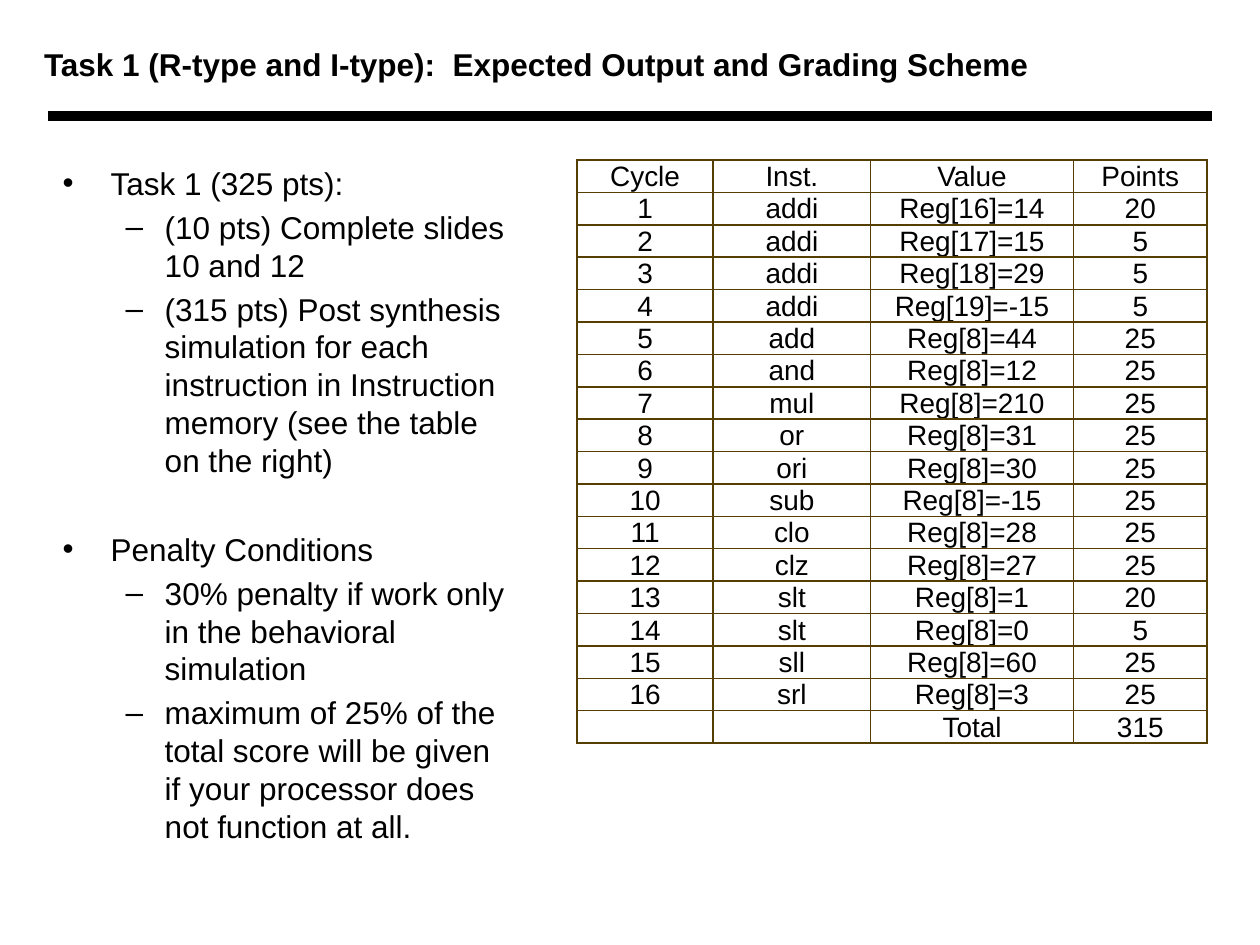
from dataclasses import dataclass

from lxml import etree
from pptx import Presentation
from pptx.dml.color import RGBColor
from pptx.enum.shapes import MSO_CONNECTOR, MSO_SHAPE
from pptx.enum.text import MSO_ANCHOR, PP_ALIGN
from pptx.oxml.ns import qn
from pptx.util import Inches, Pt

STRAIGHT = MSO_CONNECTOR.STRAIGHT
ROUND = MSO_SHAPE.ROUNDED_RECTANGLE
TOP, MIDDLE, BOTTOM = MSO_ANCHOR.TOP, MSO_ANCHOR.MIDDLE, MSO_ANCHOR.BOTTOM
LEFT, CENTER = PP_ALIGN.LEFT, PP_ALIGN.CENTER


@dataclass(frozen=True)
class Theme:
    """Colours, font and type sizes of the slide."""
    font: str = "Arial"
    ink: str = "000000"
    edge: str = "553E00"
    body: int = 18
    cell: int = 16


THEME = Theme()
TITLE = "Task 1 (R-type and I-type):  Expected Output and Grading Scheme"
HEADS = ("Cycle", "Inst.", "Value", "Points")
STEPS = [
    ("addi", "Reg[16]=14", 20), ("addi", "Reg[17]=15", 5),
    ("addi", "Reg[18]=29", 5), ("addi", "Reg[19]=-15", 5),
    ("add", "Reg[8]=44", 25), ("and", "Reg[8]=12", 25),
    ("mul", "Reg[8]=210", 25), ("or", "Reg[8]=31", 25),
    ("ori", "Reg[8]=30", 25), ("sub", "Reg[8]=-15", 25),
    ("clo", "Reg[8]=28", 25), ("clz", "Reg[8]=27", 25),
    ("slt", "Reg[8]=1", 20), ("slt", "Reg[8]=0", 5),
    ("sll", "Reg[8]=60", 25), ("srl", "Reg[8]=3", 25),
]
TOTAL = ("", "", "Total", 315)
WIDTHS = (1.08, 1.25, 1.61, 1.06)
ROW = 0.25
GROUPS = [
    ("Task 1 (325 pts):", [
        "(10 pts) Complete slides 10 and 12",
        "(315 pts) Post synthesis simulation for each instruction in "
        "Instruction memory (see the table on the right)",
    ]),
    ("Penalty Conditions", [
        "30% penalty if work only in the behavioral simulation",
        "maximum of 25% of the total score will be given if your "
        "processor does not function at all.",
    ]),
]
BULLETS = (("\u2022", 0.38, 0.38), ("\u2013", 0.81, 0.31))
GAP = 3.6
BREAK = 29.2


def add_run(para, text, size, bold=False):
    """Add one styled run to a paragraph."""
    run = para.add_run()
    run.text = text
    font = run.font
    font.name, font.size, font.bold = THEME.font, Pt(size), bold
    font.color.rgb = RGBColor.from_string(THEME.ink)


def add_title(slide):
    """Place and fill the title placeholder."""
    title = slide.shapes.title
    title.left, title.top = Inches(0.25), Inches(0.17)
    title.width, title.height = Inches(8.33), Inches(0.67)
    frame = title.text_frame
    frame.word_wrap = True
    frame.vertical_anchor = MIDDLE
    para = frame.paragraphs[0]
    para.alignment = LEFT
    add_run(para, TITLE, THEME.body, True)


def add_rule(slide):
    """Draw the thick rule below the title."""
    y = Inches(0.92)
    rule = slide.shapes.add_connector(STRAIGHT, Inches(0.38), y, Inches(9.62), y)
    rule.line.color.rgb = RGBColor.from_string(THEME.ink)
    rule.line.width = Pt(6)
    etree.SubElement(rule._element.spPr, qn("a:effectLst"))


def add_item(para, text, level, before):
    """Fill one bulleted paragraph."""
    mark, margin, hang = BULLETS[level]
    para.level = level
    para.alignment = LEFT
    para.line_spacing = 1.0
    para.space_before = Pt(before)
    props = para._p.get_or_add_pPr()
    props.set("marL", str(Inches(margin)))
    props.set("indent", str(-Inches(hang)))
    etree.SubElement(props, qn("a:buFont"), typeface=THEME.font)
    etree.SubElement(props, qn("a:buChar"), char=mark)
    add_run(para, text, THEME.body)


def add_list(slide):
    """Add the rounded panel with the two bulleted groups."""
    panel = slide.shapes.add_shape(
        ROUND, Inches(0.25), Inches(1.1), Inches(4.08), Inches(5.65))
    panel.adjustments[0] = 0.125
    panel.shadow.inherit = False
    panel.fill.background()
    panel.line.fill.background()
    frame = panel.text_frame
    frame.word_wrap = True
    frame.vertical_anchor = TOP
    for place, (head, items) in enumerate(GROUPS):
        para = frame.add_paragraph() if place else frame.paragraphs[0]
        add_item(para, head, 0, BREAK if place else 0)
        for item in items:
            add_item(frame.add_paragraph(), item, 1, GAP)


def add_edges(cell):
    """Give a cell thin borders on all sides."""
    props = cell._tc.get_or_add_tcPr()
    for index, side in enumerate(("lnL", "lnR", "lnT", "lnB")):
        line = etree.Element(qn("a:" + side), w=str(Pt(1)))
        fill = etree.SubElement(line, qn("a:solidFill"))
        etree.SubElement(fill, qn("a:srgbClr"), val=THEME.edge)
        props.insert(index, line)


def fill_cell(cell, text):
    """Write and format one table cell."""
    cell.fill.background()
    cell.vertical_anchor = BOTTOM
    cell.margin_left = cell.margin_right = cell.margin_top = Inches(0.01)
    cell.margin_bottom = 0
    para = cell.text_frame.paragraphs[0]
    para.alignment = CENTER
    if text:
        add_run(para, text, THEME.cell)
    else:
        end = etree.SubElement(
            para._p, qn("a:endParaRPr"), sz=str(THEME.cell * 100))
        etree.SubElement(end, qn("a:latin"), typeface=THEME.font)
    add_edges(cell)


def add_grid(slide):
    """Add the table of cycles, results and points."""
    steps = [(cycle, *step) for cycle, step in enumerate(STEPS, 1)]
    rows = [HEADS, *steps, TOTAL]
    table = slide.shapes.add_table(
        len(rows), len(HEADS), Inches(4.58), Inches(1.27),
        Inches(sum(WIDTHS)), Inches(ROW * len(rows))).table
    table.first_row = table.horz_banding = False
    for column, width in zip(table.columns, WIDTHS):
        column.width = Inches(width)
    for r, values in enumerate(rows):
        table.rows[r].height = Inches(ROW)
        for c, value in enumerate(values):
            fill_cell(table.cell(r, c), str(value))


def main():
    """Build the slide and save it."""
    deck = Presentation()
    deck.slide_width, deck.slide_height = Inches(10), Inches(7.5)
    slide = deck.slides.add_slide(deck.slide_layouts[5])
    add_rule(slide)
    add_title(slide)
    add_grid(slide)
    add_list(slide)
    deck.save("out.pptx")


main()
